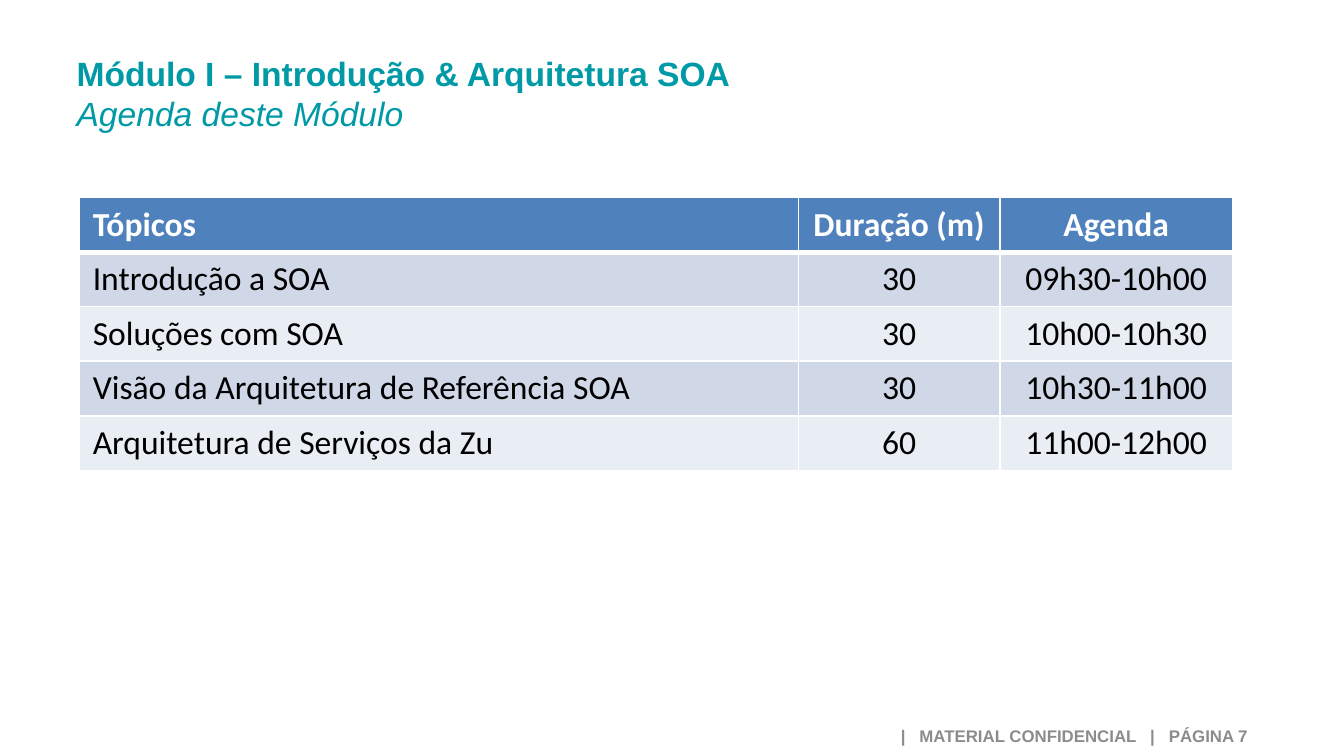
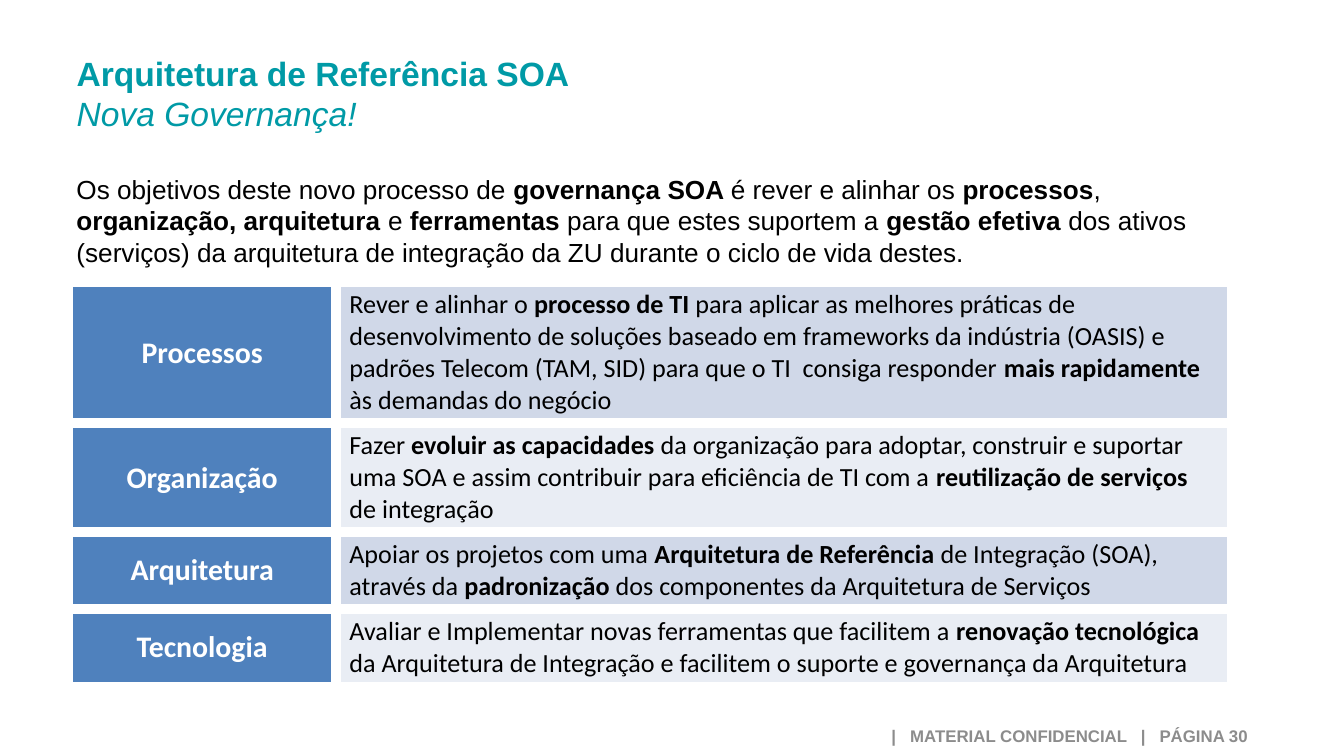
from lxml.etree import SubElement
from pptx import Presentation
from pptx.dml.color import RGBColor
from pptx.enum.text import MSO_ANCHOR, MSO_AUTO_SIZE, PP_ALIGN
from pptx.oxml.ns import qn
from pptx.util import Inches, Pt

TEAL = RGBColor(0x00, 0x9A, 0xA6)
GREY = RGBColor(0x8C, 0x8C, 0x8C)
BLUE = RGBColor(0x4F, 0x81, 0xBD)
BANDS = RGBColor(0xD0, 0xD8, 0xE8), RGBColor(0xE9, 0xED, 0xF4)
WHITE = RGBColor(0xFF, 0xFF, 0xFF)
BLACK = RGBColor(0x00, 0x00, 0x00)

TOPICS = [
    ("Tópicos", "Duração (m)", "Agenda"),
    ("Introdução a SOA", "30", "09h30-10h00"),
    ("Soluções com SOA", "30", "10h00-10h30"),
    ("Visão da Arquitetura de Referência SOA", "30", "10h30-11h00"),
    ("Arquitetura de Serviços da Zu", "60", "11h00-12h00"),
]

GOALS = (
    "Os objetivos deste novo processo de** governança SOA **é rever e alinhar os "
    "**processos**, **organização, arquitetura **e **ferramentas **para que estes "
    "suportem a **gestão efetiva **dos ativos (serviços) da arquitetura de integração "
    "da ZU durante o ciclo de vida destes."
)

PILLARS = [
    ("Processos", 1.05,
     "Rever e alinhar o **processo de TI **para aplicar as melhores práticas de "
     "desenvolvimento de soluções baseado em frameworks da indústria (OASIS) e padrões "
     "Telecom (TAM, SID) para que o TI  consiga responder **mais rapidamente **às "
     "demandas do negócio"),
    ("Organização", 0.81,
     "Fazer **evoluir as capacidades **da organização para adoptar, construir e suportar "
     "uma SOA e assim contribuir para eficiência de TI com a **reutilização de serviços "
     "**de integração"),
    ("Arquitetura", 0.57,
     "Apoiar os projetos com uma **Arquitetura de Referência **de Integração (SOA), "
     "através da **padronização** dos componentes da Arquitetura de Serviços"),
    ("Tecnologia", 0.58,
     "Avaliar e Implementar novas ferramentas que facilitem a **renovação tecnológica "
     "**da Arquitetura de Integração e facilitem o suporte e governança da Arquitetura"),
]


def style(para, name, size, color, bold=None, align=PP_ALIGN.LEFT):
    """Set the font and alignment of a paragraph."""
    para.alignment = align
    font = para.font
    font.name, font.size, font.bold = name, Pt(size), bold
    font.color.rgb = color


def write(para, text):
    """Add runs to a paragraph, with bold between double stars."""
    for i, part in enumerate(text.split("**")):
        run = para.add_run()
        run.text = part
        run.font.bold = i % 2 == 1


def place(shape, left, top, width, height):
    """Set the position and size of a shape."""
    shape.left, shape.top = Inches(left), Inches(top)
    shape.width, shape.height = Inches(width), Inches(height)


def add_box(slide, *box):
    """Add a wrapping text box and return its frame."""
    frame = slide.shapes.add_textbox(*map(Inches, box)).text_frame
    frame.word_wrap = True
    return frame


def add_page(deck, head, sub, number):
    """Add a slide with its two-line title and footer."""
    slide = deck.slides.add_slide(deck.slide_layouts[5])
    title = slide.shapes.title
    place(title, 0.47, 0.34, 7.4, 0.71)
    frame = title.text_frame
    frame.vertical_anchor = MSO_ANCHOR.TOP
    frame.auto_size = MSO_AUTO_SIZE.SHAPE_TO_FIT_TEXT
    para = frame.paragraphs[0]
    style(para, "Arial", 18, TEAL)
    first = para.add_run()
    first.text, first.font.bold = head, True
    para.add_line_break()
    second = para.add_run()
    second.text, second.font.italic = sub, True

    foot = add_box(slide, 5.16, 5.33, 4.22, 0.29)
    foot.vertical_anchor = MSO_ANCHOR.MIDDLE
    para = foot.paragraphs[0]
    para.text = f"|   MATERIAL CONFIDENCIAL   |   PÁGINA {number}"
    style(para, "Arial", 9, GREY, True, PP_ALIGN.RIGHT)
    return slide


def paint(cell, fill, left=1, right=1, top=1, bottom=1):
    """Give a cell white borders and a solid fill."""
    props = cell._tc.get_or_add_tcPr()
    for side, width in zip("LRTB", (left, right, top, bottom)):
        line = SubElement(props, qn(f"a:ln{side}"), w=str(Pt(width)))
        solid = SubElement(line, qn("a:solidFill"))
        SubElement(solid, qn("a:srgbClr"), val=str(WHITE))
    cell.fill.solid()
    cell.fill.fore_color.rgb = fill


def add_grid(slide, left, top, cols, rows):
    """Add a table with the given column widths and row heights."""
    box = map(Inches, (left, top, sum(cols), sum(rows)))
    table = slide.shapes.add_table(len(rows), len(cols), *box).table
    for col, width in zip(table.columns, cols):
        col.width = Inches(width)
    for row, height in zip(table.rows, rows):
        row.height = Inches(height)
    return table


def add_topics(slide):
    """Add the agenda table."""
    count = len(TOPICS)
    table = add_grid(slide, 0.59, 1.47, (5.35, 1.5, 1.73), [2.03 / count] * count)
    for r, texts in enumerate(TOPICS):
        head = r == 0
        for c, text in enumerate(texts):
            cell = table.cell(r, c)
            paint(cell, BLUE if head else BANDS[(r - 1) % 2],
                  top=3 if r == 1 else 1, bottom=3 if head else 1)
            para = cell.text_frame.paragraphs[0]
            para.text = text
            style(para, "Calibri", 18, WHITE if head else BLACK, head,
                  PP_ALIGN.CENTER if c else PP_ALIGN.LEFT)


def add_pillars(slide):
    """Add the table of governance pillars."""
    table = add_grid(slide, 0.51, 2.1, (1.99, 6.67), [high for _, high, _ in PILLARS])
    table.first_row = False
    for r, (name, _, text) in enumerate(PILLARS):
        label, body = table.cell(r, 0), table.cell(r, 1)
        paint(label, BLUE, 6, 6, 6, 6)
        paint(body, BANDS[r % 2], 6, 6, 6, 6)
        label.vertical_anchor = MSO_ANCHOR.MIDDLE
        para = label.text_frame.paragraphs[0]
        para.text = name
        style(para, "Calibri", 16, WHITE, True, PP_ALIGN.CENTER)
        para = body.text_frame.paragraphs[0]
        write(para, text)
        style(para, "Calibri", 14, BLACK)


def add_goals(slide):
    """Add the opening paragraph on governance."""
    para = add_box(slide, 0.47, 1.24, 8.91, 0.81).paragraphs[0]
    write(para, GOALS)
    style(para, "Arial", 14, BLACK)


def main():
    """Build and save the slides."""
    deck = Presentation()
    deck.slide_width = Inches(10)
    deck.slide_height = deck.slide_width * 9 // 16
    add_topics(add_page(deck, "Módulo I – Introdução & Arquitetura SOA",
                        "Agenda deste Módulo", 7))
    slide = add_page(deck, "Arquitetura de Referência SOA", "Nova Governança!", 30)
    add_goals(slide)
    add_pillars(slide)
    deck.save("out.pptx")


if __name__ == "__main__":
    main()
